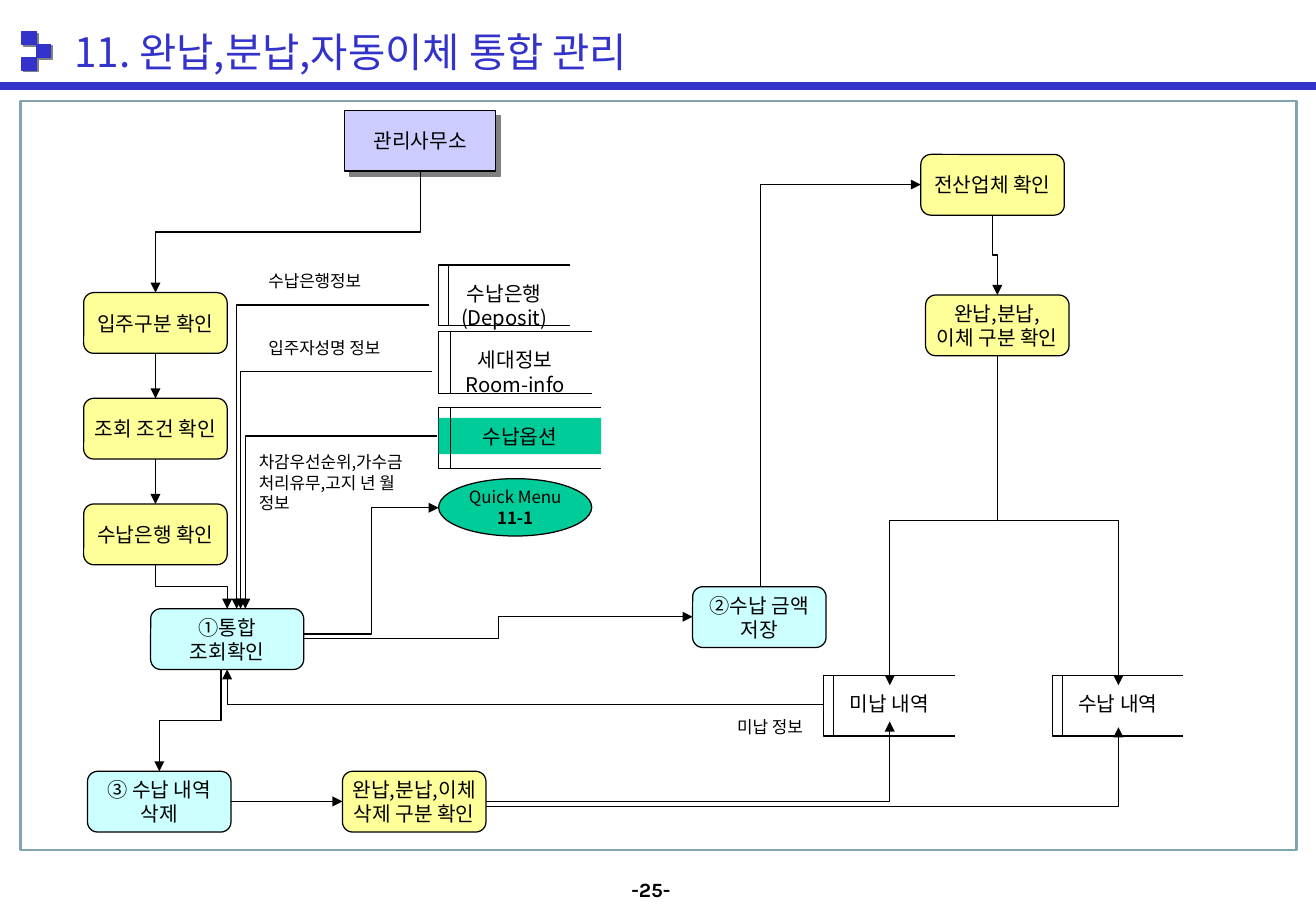
from lxml import etree
from pptx import Presentation
from pptx import util as u
from pptx.dml.color import RGBColor
from pptx.enum import shapes, text
from pptx.oxml import ns

KOREAN = "Noto Sans CJK KR"
BLUE, BLACK, WHITE = "3333CC", "000000", "FFFFFF"
YELLOW, CYAN, GREEN, LILAC = "FFFF99", "CCFFFF", "00CC99", "CCCCFF"
RECTANGLE = shapes.MSO_SHAPE.RECTANGLE
ROUNDED = shapes.MSO_SHAPE.ROUNDED_RECTANGLE
LEFT, CENTER = text.PP_ALIGN.LEFT, text.PP_ALIGN.CENTER
FRAME = (0.43, 2.11, 26.67, 15.67)


def color(value):
    return RGBColor.from_string(value)


def child(parent, tag, **attributes):
    return etree.SubElement(parent, ns.qn(tag), attributes)


def at(box, left, top, *size):
    """Lengths of a part whose corner is relative to the box, in cm."""
    return [u.Cm(value) for value in (box[0] + left, box[1] + top, *size)]


def write(shape, lines, size=12, align=CENTER, name=KOREAN, ink=BLACK,
          wrap=False, anchor=text.MSO_ANCHOR.MIDDLE, bold_line=None):
    frame = shape.text_frame
    frame.text = lines
    layout = {"word_wrap": wrap, "vertical_anchor": anchor,
              "auto_size": text.MSO_AUTO_SIZE.NONE,
              "margin_left": u.Cm(0.25), "margin_right": u.Cm(0.25),
              "margin_top": u.Cm(0.13), "margin_bottom": u.Cm(0.13)}
    for key, value in layout.items():
        setattr(frame, key, value)
    for index, paragraph in enumerate(frame.paragraphs):
        paragraph.alignment = align
        paragraph.space_before = u.Pt(0)
        for run in paragraph.runs:
            run.font.color.rgb = color(ink)
            style = {"size": u.Pt(size), "name": name, "bold": index == bold_line}
            for key, value in style.items():
                setattr(run.font, key, value)
            child(run.font._element, "a:ea", typeface=name)


def paint(shape, fill=None, line=BLACK, width=0.75):
    shape.shadow.inherit = False
    for format_part, value in ((shape.fill, fill), (shape.line.fill, line)):
        if value:
            format_part.solid()
            format_part.fore_color.rgb = color(value)
        else:
            format_part.background()
    if line:
        shape.line.width = u.Pt(width)


def cast_shadow(shape, distance):
    effects = shape._element.spPr.find(ns.qn("a:effectLst"))
    shadow = child(effects, "a:outerShdw", dist=str(u.Pt(distance)),
                   dir="2700000", algn="ctr", rotWithShape="0")
    child(shadow, "a:srgbClr", val="808080")


def add_box(slide, box, place, fill, lines="", kind=ROUNDED, line=BLACK, **style):
    shape = slide.shapes.add_shape(kind, *at(box, *place))
    paint(shape, fill, line)
    if lines:
        write(shape, lines, **style)
    return shape


def add_note(slide, box, place, lines, **style):
    note = slide.shapes.add_textbox(*at(box, *place))
    write(note, lines, **{"size": 10, "align": LEFT, "wrap": True,
                          "anchor": text.MSO_ANCHOR.TOP, **style})


def add_line(slide, box, start, end, route="straight", arrow=True, ink=BLACK, width=0.75):
    """Route: straight, or first direction (h or v) and number of bends (1 or 2)."""
    (x1, y1), (x2, y2) = start, end
    rotation = 0
    if route[0] == "v":
        # An upright start is a level connector turned about its middle
        rotation, sign = (90, 1) if x2 <= x1 else (270, -1)
        middle_x, middle_y = (x1 + x2) / 2, (y1 + y2) / 2
        half_x, half_y = sign * (y2 - y1) / 2, sign * (x1 - x2) / 2
        x1, x2 = middle_x - half_x, middle_x + half_x
        y1, y2 = middle_y - half_y, middle_y + half_y
    kind = shapes.MSO_CONNECTOR.STRAIGHT if route == "straight" else shapes.MSO_CONNECTOR.ELBOW
    connector = slide.shapes.add_connector(kind, *at(box, x1, y1), *at(box, x2, y2))
    connector.line.color.rgb = color(ink)
    connector.line.width = u.Pt(width)
    properties = connector._element.spPr
    if rotation:
        properties.find(ns.qn("a:xfrm")).set("rot", str(rotation * 60000))
    if route[-1] == "1":
        properties.find(ns.qn("a:prstGeom")).set("prst", "bentConnector2")
    if arrow:
        child(properties.find(ns.qn("a:ln")), "a:tailEnd", type="triangle")
    child(properties, "a:effectLst")


def add_store(slide, box, place, lines, fill=None):
    """Data store: open-sided outline, label and inner divider."""
    left, top, width, height = place
    corners = [(left + width, top), (left, top), (left, top + height),
               (left + width, top + height)]
    points = [at(box, *corner) for corner in corners]
    builder = slide.shapes.build_freeform(*points[0], scale=1.0)
    builder.add_line_segments(points[1:], close=False)
    paint(builder.convert_to_shape(), WHITE)
    label = (left, top + 0.21, width, 0.76 if "\n" not in lines else 1.27)
    add_box(slide, box, label, fill, lines, RECTANGLE, None,
            wrap=True, anchor=text.MSO_ANCHOR.TOP)
    divider = left + 0.075 * width
    add_line(slide, box, (divider, top), (divider, top + height), arrow=False)


def draw_header(slide, box):
    # Three-square mark
    for left, top in ((0.46, 0.66), (0.76, 0.93), (0.46, 1.2)):
        square = add_box(slide, box, (left, top, 0.3, 0.27), BLUE, kind=RECTANGLE, line=BLUE)
        cast_shadow(square, 1.4)
    add_line(slide, box, (0, 1.8), (box[2], 1.8), arrow=False, ink=BLUE, width=4.5)
    title = slide.shapes.title
    title.left, title.top, title.width, title.height = at(box, 1.3, 0.33, 14, 1.47)
    write(title, "11. 완납,분납,자동이체 통합 관리", size=24, align=LEFT, ink=BLUE)


def draw_lookup(slide, box):
    # Stores and their notes
    add_store(slide, box, (8.74, 3.43, 2.74, 1.27), "수납은행\n(Deposit)")
    add_store(slide, box, (8.74, 4.82, 3.2, 1.3), "세대정보\nRoom-info")
    add_store(slide, box, (8.74, 6.42, 3.4, 1.27), "수납옵션", GREEN)
    add_note(slide, box, (4.93, 3.43, 2.79, 0.69), "수납은행정보")
    add_note(slide, box, (4.93, 4.82, 3.2, 0.69), "입주자성명 정보")
    add_note(slide, box, (4.73, 7.21, 3.81, 1.52), "차감우선순위,가수금 처리유무,고지 년 월 정보")
    # Office and the column of checks
    office = add_box(slide, box, (6.78, 0.2, 3.15, 1.27), LILAC, "관리사무소", RECTANGLE)
    cast_shadow(office, 4.2)
    add_line(slide, box, (8.36, 1.47), (2.82, 4.01), "v2")
    for row, label in enumerate(("입주구분 확인", "조회 조건 확인", "수납은행 확인")):
        top = 4.01 + 2.21 * row
        add_box(slide, box, (1.32, top, 3, 1.27), YELLOW, label)
        if row:
            add_line(slide, box, (2.82, top - 0.94), (2.82, top))
    # Combined lookup and its inputs
    add_box(slide, box, (2.72, 10.62, 3.2, 1.27), CYAN, "①통합\n조회확인")
    add_line(slide, box, (2.82, 9.7), (4.32, 10.62), "v2")
    for start, target in (((8.54, 4.27), 4.52), ((8.61, 5.66), 4.6), ((8.71, 7.01), 4.7)):
        add_line(slide, box, start, (target, 10.62), "h1")
    # Quick menu
    add_box(slide, box, (8.74, 7.9, 3.2, 1.2), GREEN, "Quick Menu\n11-1",
            shapes.MSO_SHAPE.OVAL, size=10, bold_line=1)
    add_line(slide, box, (5.92, 11.15), (8.74, 8.51), "h2")


def draw_saving(slide, box):
    add_box(slide, box, (14.05, 10.16, 2.79, 1.27), CYAN, "②수납 금액\n저장")
    add_box(slide, box, (18.82, 1.12, 3, 1.27), YELLOW, "전산업체 확인")
    add_box(slide, box, (18.92, 4.06, 3, 1.27), YELLOW, "완납,분납,\n이체 구분 확인")
    add_line(slide, box, (5.92, 11.25), (14.05, 10.79), "h2")
    add_line(slide, box, (15.47, 10.16), (18.82, 1.75), "v1")
    add_line(slide, box, (20.32, 2.39), (20.42, 4.06), "v2")
    # Unpaid and paid records
    for left, label in ((16.79, "미납 내역"), (21.57, "수납 내역")):
        add_store(slide, box, (left, 12.01, 2.74, 1.27), label)
        add_line(slide, box, (20.42, 5.33), (left + 1.38, 12.22), "v2")
    add_note(slide, box, (14.73, 12.75, 2.39, 0.69), "미납 정보")
    add_line(slide, box, (16.79, 12.62), (4.32, 11.89), "h1")


def draw_deletion(slide, box):
    add_box(slide, box, (1.4, 14.02, 3, 1.27), CYAN, "③ 수납 내역\n삭제")
    add_box(slide, box, (6.73, 14.02, 3, 1.27), YELLOW, "완납,분납,이체\n삭제 구분 확인")
    add_line(slide, box, (4.19, 11.89), (2.9, 14.02), "v2")
    add_line(slide, box, (4.4, 14.65), (6.73, 14.65))
    add_line(slide, box, (9.73, 14.65), (18.17, 12.98), "h1")
    add_line(slide, box, (9.73, 14.76), (22.95, 13.1), "h1")


def main():
    presentation = Presentation()
    page = (0, 0, 27.51, 19.05)
    presentation.slide_width, presentation.slide_height = u.Cm(page[2]), u.Cm(page[3])
    slide = presentation.slides.add_slide(presentation.slide_layouts[5])
    draw_header(slide, page)
    # Frame around the flow chart
    frame = slide.shapes.add_shape(RECTANGLE, *at(page, *FRAME))
    paint(frame, line="81A4B1", width=1.5)
    for draw in (draw_lookup, draw_saving, draw_deletion):
        draw(slide, FRAME)
    # Page number
    add_note(slide, page, (12.95, 18.21, 1.91, 0.76), "-25-", size=12, name="Karla", bold_line=0)
    presentation.save("out.pptx")


if __name__ == "__main__":
    main()
